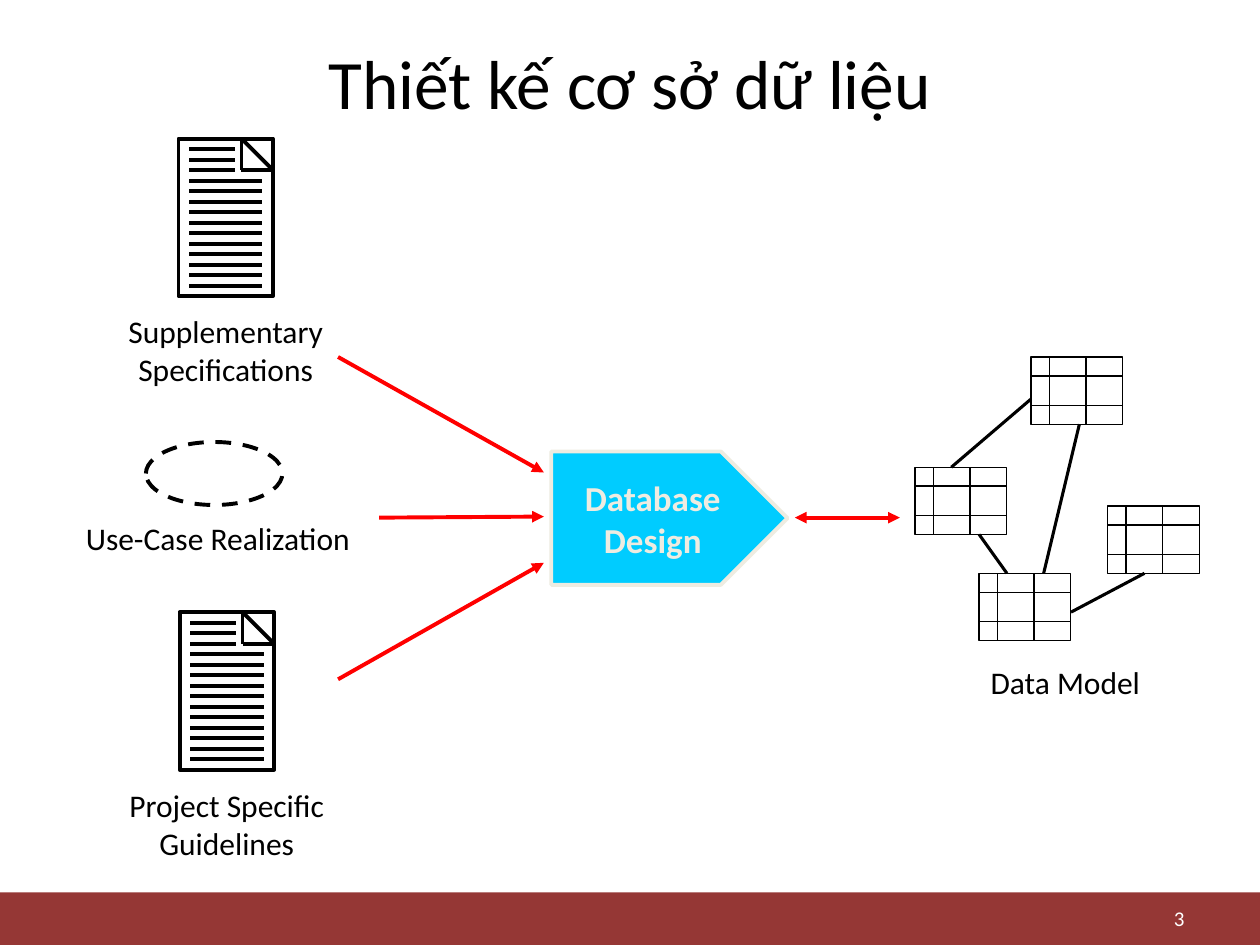
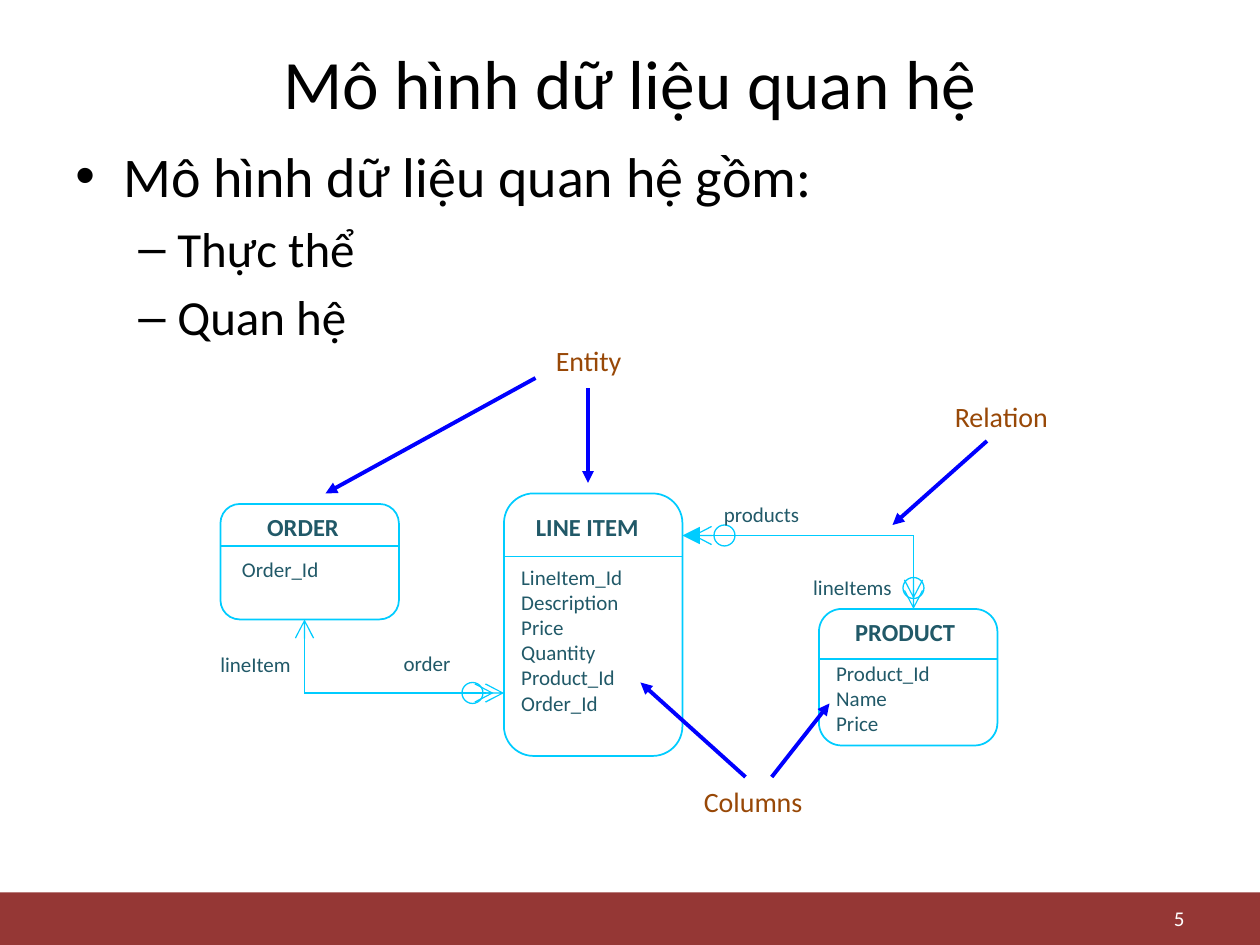
from lxml import etree
from pptx import Presentation
from pptx.dml.color import RGBColor
from pptx.enum.dml import MSO_LINE
from pptx.enum.shapes import MSO_CONNECTOR, MSO_SHAPE
from pptx.enum.text import MSO_ANCHOR, MSO_AUTO_SIZE, PP_ALIGN
from pptx.oxml.ns import qn
from pptx.util import Inches, Pt

RECT, ROUNDED = MSO_SHAPE.RECTANGLE, MSO_SHAPE.ROUNDED_RECTANGLE
PENTAGON, ELLIPSE = MSO_SHAPE.PENTAGON, MSO_SHAPE.OVAL
RING = MSO_SHAPE.FLOWCHART_CONNECTOR
LEFT, CENTER, RIGHT = PP_ALIGN.LEFT, PP_ALIGN.CENTER, PP_ALIGN.RIGHT
TOP, MIDDLE = MSO_ANCHOR.TOP, MSO_ANCHOR.MIDDLE

FONT = "Calibri"
BLACK, WHITE, BAND, CREAM = "000000", "FFFFFF", "953735", "EEECE1"
CYAN, RED, BLUE, TEAL, BROWN = "00CCFF", "FF0000", "0000FF", "215968", "984807"

# All places and sizes are in grid units: 12 to the inch, 120 x 90 on the slide.
UNITS_PER_INCH = 12
COLUMNS, ROWS = 120, 90
BAND_HEIGHT = 5
WIDE_INSETS = (0.12, 0.06)

# Slide 1: inputs, the design step and the data model
DESIGN_TITLE = "Thiết kế cơ sở dữ liệu"
DOCUMENTS = [  # sheet corner, label lines, label box
    ((17, 13.2), ["Supplementary", "Specifications"], (10.2, 29.15, 22.6, 8.4)),
    ((17.1, 58.3), ["Project Specific", "Guidelines"], (10.1, 74.3, 23, 8.4)),
]
SHEET_COLUMNS, SHEET_ROWS, FOLD = 9, 15, 3
USE_CASE = ("Use-Case Realization", (13.9, 42.1, 13, 6), (5, 48.85, 31.5, 4.8))
DESIGN_STEP = (["Database", "Design"], (52.5, 43, 22.5, 12.7))
FLOWS = [  # start, end, head, tail
    ((32.2, 34), (51.8, 45), None, "triangle"),
    ((36.1, 49.3), (51.8, 49.2), None, "triangle"),
    ((32.2, 64.7), (51.8, 53.6), None, "triangle"),
    ((75.7, 49.3), (85.7, 49.3), "triangle", "triangle"),
]
DATA_MODEL = ("Data Model", (92.9, 62.4, 18.2, 5))
TABLE_SIZE = (8.72, 6.42)
TABLE_COLUMN_SHARES, TABLE_ROW_SHARES = (0.2, 0.6), (0.28, 0.72)
TABLE_CORNERS = [(105.5, 48.2), (93.25, 54.6), (87.15, 44.5), (98.2, 34)]
TABLE_LINKS = [
    ((102.8, 40.4), (99.4, 54.6)), ((102, 58.3), (109, 54.6)),
    ((95.9, 54.6), (93.25, 50.9)), ((90.6, 44.5), (98.2, 38)),
]

# Slide 2: the relational model
MODEL_TITLE = "Mô hình dữ liệu quan hệ"
BULLETS = [
    (0, "Mô hình dữ liệu quan hệ gồm:"),
    (1, "Thực thể"),
    (1, "Quan hệ"),
]
BULLET_LEVELS = [  # mark, size, left margin and hang in inches
    ("•", 32, 0.38, 0.38),
    ("–", 28, 0.81, 0.31),
]
ENTITIES = [  # name, name box, entity box, divider row, columns, columns box
    ("ORDER", (24, 48, 10.2, 4.2), (21, 48, 17, 11), 52,
     ["Order_Id"], (21.6, 52.3, 10.4, 3.85)),
    ("LINE ITEM", (49.6, 48, 13, 4.2), (48, 47, 17, 25), 53,
     ["LineItem_Id", "Description", "Price", "Quantity", "Product_Id", "Order_Id"],
     (48.2, 53, 16.7, 16)),
    ("PRODUCT", (80, 58, 12.8, 4.2), (78, 58, 17, 13), 62.75,
     ["Product_Id", "Name", "Price"], (78.2, 62.2, 12.2, 8.75)),
]
RELATION_LINES = [  # start, end, head, tail
    ((29, 59), (29, 66), "arrow", None),
    ((29, 66), (48, 66), None, "arrow"),
    ((30, 66), (47, 66), None, "arrow"),
    ((65, 51), (87, 51), "triangle", None),
    ((66, 51), (82, 51), "arrow", None),
    ((87, 51), (87, 58), None, "arrow"),
    ((87, 54), (87, 57), None, "arrow"),
]
RING_CORNERS = [(44, 65), (68, 50), (86, 55)]
ROLE_NAMES = [
    ("lineItem", (19.55, 61.3, 9.9, 3.85)), ("order", (37, 61.2, 7.8, 3.85)),
    ("products", (67.5, 47, 10.4, 3.85)), ("lineItems", (76, 54, 10.7, 3.85)),
]
NOTES = [  # word, box, pointers
    ("Entity", (51.5, 32, 9.8, 4.7), [((56, 37), (56, 46)), ((51, 36), (31, 47))]),
    ("Relation", (89.5, 37.3, 12.2, 4.7), [((94, 42), (85, 50))]),
    ("Columns", (65.6, 74, 12.7, 4.7),
     [((71, 74), (61, 65)), ((73.5, 74), (79, 67))]),
]


def color(hex_string):
    return RGBColor.from_string(hex_string)


def grid(*units):
    return [Inches(unit / UNITS_PER_INCH) for unit in units]


def write(shape, lines, size=18, ink=BLACK, bold=False, align=LEFT, anchor=TOP,
          wrap=False, grow=False, insets=(0.1, 0.05)):
    """Fill a shape with one paragraph per line, all in one format."""
    frame = shape.text_frame
    frame.word_wrap = wrap
    frame.auto_size = MSO_AUTO_SIZE.SHAPE_TO_FIT_TEXT if grow else MSO_AUTO_SIZE.NONE
    frame.vertical_anchor = anchor
    frame.margin_left = frame.margin_right = Inches(insets[0])
    frame.margin_top = frame.margin_bottom = Inches(insets[1])
    frame.text = "\n".join([lines] if isinstance(lines, str) else lines)
    for paragraph in frame.paragraphs:
        paragraph.alignment = align
        font = paragraph.runs[0].font
        font.name, font.size, font.bold = FONT, Pt(size), bold
        font.color.rgb = color(ink)
    return frame


def add_text(shapes, lines, box, **text_format):
    return write(shapes.add_textbox(*grid(*box)), lines, **text_format)


def add_label(shapes, lines, box, **text_format):
    return add_text(shapes, lines, box, grow=True, **text_format)


def add_box(shapes, kind, box, fill=None, line=None, width=1):
    shape = shapes.add_shape(kind, *grid(*box))
    shape.shadow.inherit = False
    if fill:
        shape.fill.solid()
        shape.fill.fore_color.rgb = color(fill)
    else:
        shape.fill.background()
    if line:
        shape.line.color.rgb = color(line)
        shape.line.width = Pt(width)
    else:
        shape.line.fill.background()
    return shape


def add_line(shapes, start, end, ink=BLACK, width=2.25, head=None, tail=None,
             arrow_size="med"):
    connector = shapes.add_connector(MSO_CONNECTOR.STRAIGHT, *grid(*start, *end))
    connector.line.color.rgb = color(ink)
    connector.line.width = Pt(width)
    outline = connector.line._get_or_add_ln()
    for tag, arrow in (("a:headEnd", head), ("a:tailEnd", tail)):
        if arrow:
            etree.SubElement(outline, qn(tag), type=arrow, w=arrow_size, len=arrow_size)
    etree.SubElement(connector._element.spPr, qn("a:effectLst"))


def add_sheet(shapes, corner):
    """Draw a page with a folded corner and ruled lines, one unit apart."""
    left, top = corner
    right, fold_left, fold_bottom = left + SHEET_COLUMNS, left + SHEET_COLUMNS - FOLD, top + FOLD
    add_box(shapes, RECT, (left, top, SHEET_COLUMNS, SHEET_ROWS), line=BLACK, width=2.25)
    add_line(shapes, (fold_left, top), (right, fold_bottom))
    add_line(shapes, (fold_left, top), (fold_left, fold_bottom))
    add_line(shapes, (right, fold_bottom), (fold_left, fold_bottom))
    for row in range(1, SHEET_ROWS):
        rule_end = fold_left - 0.6 if row <= FOLD else right - 1
        add_line(shapes, (left + 1, top + row), (rule_end, top + row))


def add_table_icon(shapes, corner):
    left, top = corner
    width, height = TABLE_SIZE
    add_box(shapes, RECT, (left, top, width, height), line=BLACK, width=0.75)
    for share in TABLE_ROW_SHARES:
        y = top + share * height
        add_line(shapes, (left, y), (left + width, y), width=0.75)
    for share in TABLE_COLUMN_SHARES:
        x = left + share * width
        add_line(shapes, (x, top), (x, top + height), width=0.75)


def add_bullets(shapes):
    frame = add_text(shapes, [text for _, text in BULLETS], (6, 12.85, 108, 67.5), wrap=True)
    for paragraph, (level, _) in zip(frame.paragraphs, BULLETS):
        mark, size, margin, hang = BULLET_LEVELS[level]
        paragraph.level = level
        paragraph.space_before = Pt(size * 0.2)
        paragraph.runs[0].font.size = Pt(size)
        properties = paragraph._p.get_or_add_pPr()
        properties.set("marL", str(Inches(margin)))
        properties.set("indent", str(-Inches(hang)))
        etree.SubElement(properties, qn("a:buFont"), typeface="Arial")
        etree.SubElement(properties, qn("a:buChar"), char=mark)


def add_slide(presentation, title, number):
    """Add a blank slide with the shared band, title and number."""
    shapes = presentation.slides.add_slide(presentation.slide_layouts[6]).shapes
    add_box(shapes, RECT, (0, ROWS - BAND_HEIGHT, COLUMNS, BAND_HEIGHT), fill=BAND)
    add_text(shapes, title, (6, 3.6, 108, 8.4), size=39.6, align=CENTER,
             anchor=MIDDLE, wrap=True)
    add_text(shapes, str(number), (86, 85.8, 28, 3.2), size=12, ink=WHITE,
             align=RIGHT, anchor=MIDDLE, wrap=True)
    return shapes


def build_design_slide(presentation):
    shapes = add_slide(presentation, DESIGN_TITLE, 3)
    for corner, lines, label_box in DOCUMENTS:
        add_sheet(shapes.add_group_shape().shapes, corner)
        add_label(shapes, lines, label_box, align=CENTER)

    name, oval_box, label_box = USE_CASE
    oval = add_box(shapes, ELLIPSE, oval_box, line=BLACK, width=2.25)
    oval.line.dash_style = MSO_LINE.DASH
    add_label(shapes, name, label_box, align=CENTER)

    lines, step_box = DESIGN_STEP
    step = add_box(shapes, PENTAGON, step_box, fill=CYAN, line=CREAM, width=2.25)
    step.adjustments[0] = 0.5
    write(step, lines, size=20, ink=CREAM, bold=True, align=CENTER, anchor=MIDDLE)

    model = shapes.add_group_shape().shapes
    for corner in TABLE_CORNERS:
        add_table_icon(model, corner)
    for start, end in TABLE_LINKS:
        add_line(model, start, end, width=1.75)
    add_label(shapes, *DATA_MODEL, insets=WIDE_INSETS)
    for start, end, head, tail in FLOWS:
        add_line(shapes, start, end, ink=RED, head=head, tail=tail)


def build_model_slide(presentation):
    shapes = add_slide(presentation, MODEL_TITLE, 5)
    add_bullets(shapes)
    for name, name_box, box, divider, columns, columns_box in ENTITIES:
        add_box(shapes, ROUNDED, box, line=CYAN)
        left, _, width, _ = box
        add_line(shapes, (left, divider), (left + width, divider), ink=CYAN, width=1)
        add_label(shapes, name, name_box, size=14, ink=TEAL, bold=True, insets=WIDE_INSETS)
        add_label(shapes, columns, columns_box, size=12, ink=TEAL, insets=WIDE_INSETS)

    for start, end, head, tail in RELATION_LINES:
        add_line(shapes, start, end, ink=CYAN, width=0.75, head=head, tail=tail,
                 arrow_size="lg")
    for corner in RING_CORNERS:
        add_box(shapes, RING, (*corner, 2, 2), line=CYAN, width=0.75)
    for role, box in ROLE_NAMES:
        add_label(shapes, role, box, size=12, ink=TEAL, insets=WIDE_INSETS)

    for word, box, pointers in NOTES:
        add_label(shapes, word, box, size=16, ink=BROWN, insets=WIDE_INSETS)
        for start, end in pointers:
            add_line(shapes, start, end, ink=BLUE, tail="triangle")


def main():
    presentation = Presentation()
    presentation.slide_width, presentation.slide_height = grid(COLUMNS, ROWS)
    build_design_slide(presentation)
    build_model_slide(presentation)
    presentation.save("out.pptx")


if __name__ == "__main__":
    main()
